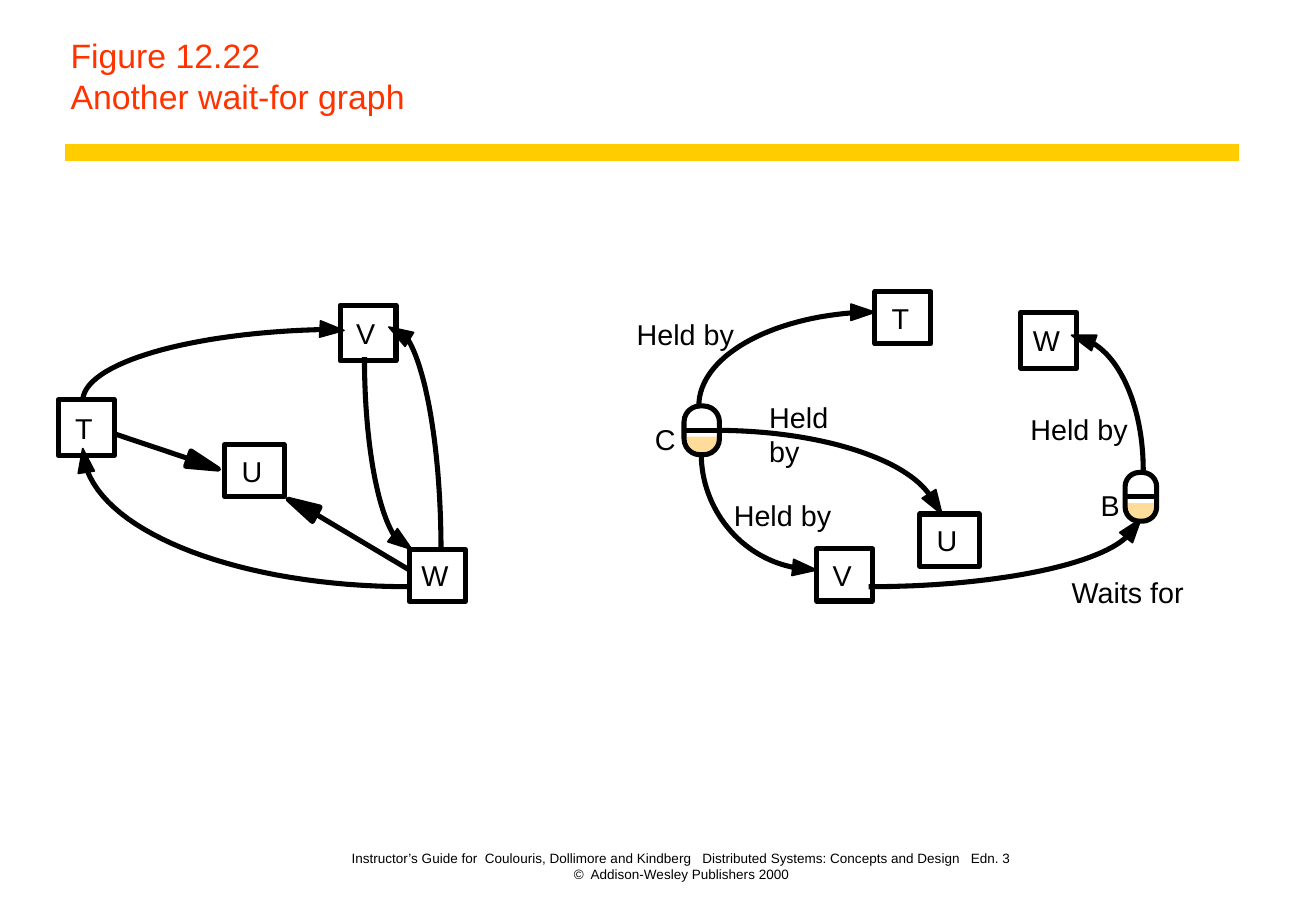
import math
from dataclasses import dataclass
from lxml import etree
from pptx import Presentation
from pptx.dml.color import RGBColor
from pptx.enum import shapes as kinds, text as txt
from pptx.oxml import ns
from pptx.util import Cm, Pt


@dataclass(frozen=True)
class Theme:
    font: str = "Arial"
    ink: RGBColor = RGBColor(0, 0, 0)
    paper: RGBColor = RGBColor(255, 255, 255)
    title: RGBColor = RGBColor(0xFF, 0x33, 0x00)
    rule: RGBColor = RGBColor(0xFF, 0xCC, 0x00)
    sand: RGBColor = RGBColor(0xFF, 0xDC, 0x99)
    head: int = 20
    body: int = 17
    small: int = 8
    line: int = 3
    bar: int = 10


THEME = Theme()
KIND = kinds.MSO_SHAPE


def style(para, size, color, align=txt.PP_ALIGN.LEFT):
    para.alignment = align
    font = para.font
    font.name, font.size = THEME.font, Pt(size)
    font.color.rgb = color


def pad(frame, right=0):
    frame.margin_left = frame.margin_top = frame.margin_bottom = 0
    frame.margin_right = Cm(right)


def paint(shape, fill=None, line=None, width=THEME.line):
    shape.shadow.inherit = False
    if fill is None:
        shape.fill.background()
    else:
        shape.fill.solid()
        shape.fill.fore_color.rgb = fill
    if line is None:
        shape.line.fill.background()
    else:
        shape.line.color.rgb = line
        shape.line.width = Pt(width)


class Graph:
    """Draws in centimetres from the corner of its box."""

    def __init__(self, slide, left, top):
        self.shapes = slide.shapes
        self.left, self.top = left, top

    def spot(self, x, y):
        return Cm(self.left + x), Cm(self.top + y)

    def shape(self, kind, x, y, w, h, **look):
        item = self.shapes.add_shape(kind, *self.spot(x, y), Cm(w), Cm(h))
        paint(item, **look)
        return item

    def node(self, name, x, y, w, h):
        box = self.shape(KIND.RECTANGLE, x, y, w, h,
                         fill=THEME.paper, line=THEME.ink)
        frame = box.text_frame
        pad(frame, 0.1)
        frame.vertical_anchor = txt.MSO_ANCHOR.MIDDLE
        frame.text = name
        style(frame.paragraphs[0], THEME.body, THEME.ink,
              txt.PP_ALIGN.CENTER)

    def label(self, words, x, y, w):
        box = self.shapes.add_textbox(*self.spot(x, y), Cm(w), Cm(0.7))
        frame = box.text_frame
        pad(frame)
        frame.word_wrap = True
        frame.text = words
        style(frame.paragraphs[0], THEME.body, THEME.ink)

    def line(self, start, end, color=THEME.ink, width=THEME.line):
        link = self.shapes.add_connector(
            kinds.MSO_CONNECTOR.STRAIGHT, *self.spot(*start), *self.spot(*end))
        link.line.color.rgb = color
        link.line.width = Pt(width)
        etree.SubElement(link._element.spPr, ns.qn("a:effectLst"))

    def trace(self, points, close, **look):
        spots = [self.spot(*point) for point in points]
        build = self.shapes.build_freeform(*spots[0])
        build.add_line_segments(spots[1:], close=close)
        paint(build.convert_to_shape(), **look)

    def head(self, tail, tip, size, width):
        turn = math.atan2(tip[1] - tail[1], tip[0] - tail[0])
        ux, uy = math.cos(turn), math.sin(turn)
        half = 0.17
        back = tip[0] - size * ux, tip[1] - size * uy
        wings = [(back[0] - s * half * uy, back[1] + s * half * ux)
                 for s in (-1, 1)]
        self.trace([wings[0], tip, wings[1]], True,
                   fill=THEME.ink, line=THEME.ink, width=width)

    def curve(self, a, b, c, d, tip):
        steps = 32
        points = []
        for step in range(steps + 1):
            t = step / steps
            mix = ((1 - t) ** 3, 3 * t * (1 - t) ** 2,
                   3 * t * t * (1 - t), t ** 3)
            points.append([sum(m * p[axis] for m, p in zip(mix, (a, b, c, d)))
                           for axis in (0, 1)])
        self.trace(points, False, line=THEME.ink)
        self.head(d, tip, 0.5, 1)

    def arrow(self, start, end, tip):
        self.line(start, end)
        self.head(end, tip, 0.67, THEME.line)

    def lock(self, x, y, w):
        """A half-filled capsule for a held object."""
        tall = 1.02
        pill = KIND.ROUNDED_RECTANGLE
        fill = self.shape(pill, x, y, w, tall, fill=THEME.sand)
        self.shape(KIND.RECTANGLE, x, y, w, 0.64, fill=THEME.paper)
        edge = self.shape(pill, x, y, w, tall, line=THEME.ink)
        fill.adjustments[0] = edge.adjustments[0] = 0.45
        self.line((x, y + tall / 2), (x + w, y + tall / 2))


def header(slide, left, top, width):
    title = slide.shapes.title
    title.left, title.top = Cm(left), Cm(top)
    title.width, title.height = Cm(width), Cm(1.91)
    frame = title.text_frame
    frame.auto_size = txt.MSO_AUTO_SIZE.NONE
    frame.vertical_anchor = txt.MSO_ANCHOR.BOTTOM
    frame.text = "Figure 12.22\vAnother wait-for graph"
    style(frame.paragraphs[0], THEME.head, THEME.title)
    Graph(slide, left, top).line((0.15, 2.54), (width, 2.54),
                                 THEME.rule, THEME.bar)


def footer(slide, left, top, width):
    box = slide.shapes.add_textbox(Cm(left), Cm(top), Cm(width), Cm(0.79))
    frame = box.text_frame
    frame.word_wrap = True
    frame.vertical_anchor = txt.MSO_ANCHOR.BOTTOM
    frame.text = ("Instructor’s Guide for  Coulouris, Dollimore and Kindberg"
                  "   Distributed Systems: Concepts and Design   Edn. 3"
                  "\v©  Addison-Wesley Publishers 2000")
    style(frame.paragraphs[0], THEME.small, THEME.ink, txt.PP_ALIGN.CENTER)


def waits(slide, left, top):
    graph = Graph(slide, left, top)
    for node in (("T", 0, 1.98, 1.17, 1.17), ("U", 3.48, 2.92, 1.24, 1.09),
                 ("V", 5.89, 0, 1.17, 1.17), ("W", 7.34, 5.11, 1.17, 1.09)):
        graph.node(*node)
    # T to V, W to T, W to V, V to W
    for edge in (
            ((0.51, 2.01), (0.51, 1.22), (2.77, 0.56), (5.64, 0.51), (5.97, 0.53)),
            ((7.32, 5.89), (3.86, 5.89), (0.97, 4.8), (0.56, 3.33), (0.51, 3)),
            ((8, 5.11), (8, 3.1), (7.7, 1.32), (7.29, 0.69), (6.91, 0.46)),
            ((6.4, 1.09), (6.4, 2.77), (6.65, 4.27), (7.04, 4.85), (7.39, 5.11))):
        graph.curve(*edge)
    # T to U, W to U
    graph.arrow((1.17, 2.69), (2.69, 3.2), (3.35, 3.43))
    graph.arrow((7.34, 5.54), (5.38, 4.37), (4.8, 4.06))


def holds(slide, left, top):
    graph = Graph(slide, left, top)
    for node in (("T", 4.98, 0, 1.17, 1.09), ("U", 5.92, 4.65, 1.24, 1.09),
                 ("V", 3.76, 5.38, 1.17, 1.09), ("W", 8.03, 0.43, 1.17, 1.17)):
        graph.node(*node)
    # C to T, C to U, C to V, B to W, V to B
    for edge in (
            ((1.3, 2.39), (1.3, 1.37), (2.77, 0.53), (4.7, 0.43), (4.98, 0.43)),
            ((1.65, 2.9), (3.78, 2.9), (5.64, 3.48), (6.15, 4.29), (6.38, 4.65)),
            ((1.35, 3.38), (1.35, 4.55), (2.18, 5.56), (3.3, 5.77), (3.76, 5.82)),
            ((10.59, 3.73), (10.59, 2.46), (10.13, 1.37), (9.47, 1.04), (9.09, 0.91)),
            ((4.85, 6.17), (7.37, 6.17), (9.6, 5.74), (10.24, 5.13), (10.54, 4.75))):
        graph.curve(*edge)
    for lock in ((0.99, 2.39, 0.74), (10.21, 3.78, 0.66)):
        graph.lock(*lock)
    for label in (("C", 0.38, 2.72, 0.6), ("B", 9.7, 4.11, 0.5),
                  ("Held by", 0, 0.53, 2.3), ("Held by", 2.77, 2.26, 1.6),
                  ("Held by", 2.03, 4.32, 2.3), ("Held by", 8.23, 2.51, 2.3),
                  ("Waits for", 9.09, 5.92, 2.6)):
        graph.label(*label)


def main():
    deck = Presentation()
    deck.slide_width, deck.slide_height = Cm(27.51), Cm(19.05)
    slide = deck.slides.add_slide(deck.slide_layouts[5])
    header(slide, 1.22, 0.64, 24.69)
    footer(slide, 5.88, 17.78, 16.74)
    waits(slide, 1.22, 6.38)
    holds(slide, 13.31, 6.1)
    deck.save("out.pptx")


if __name__ == "__main__":
    main()
